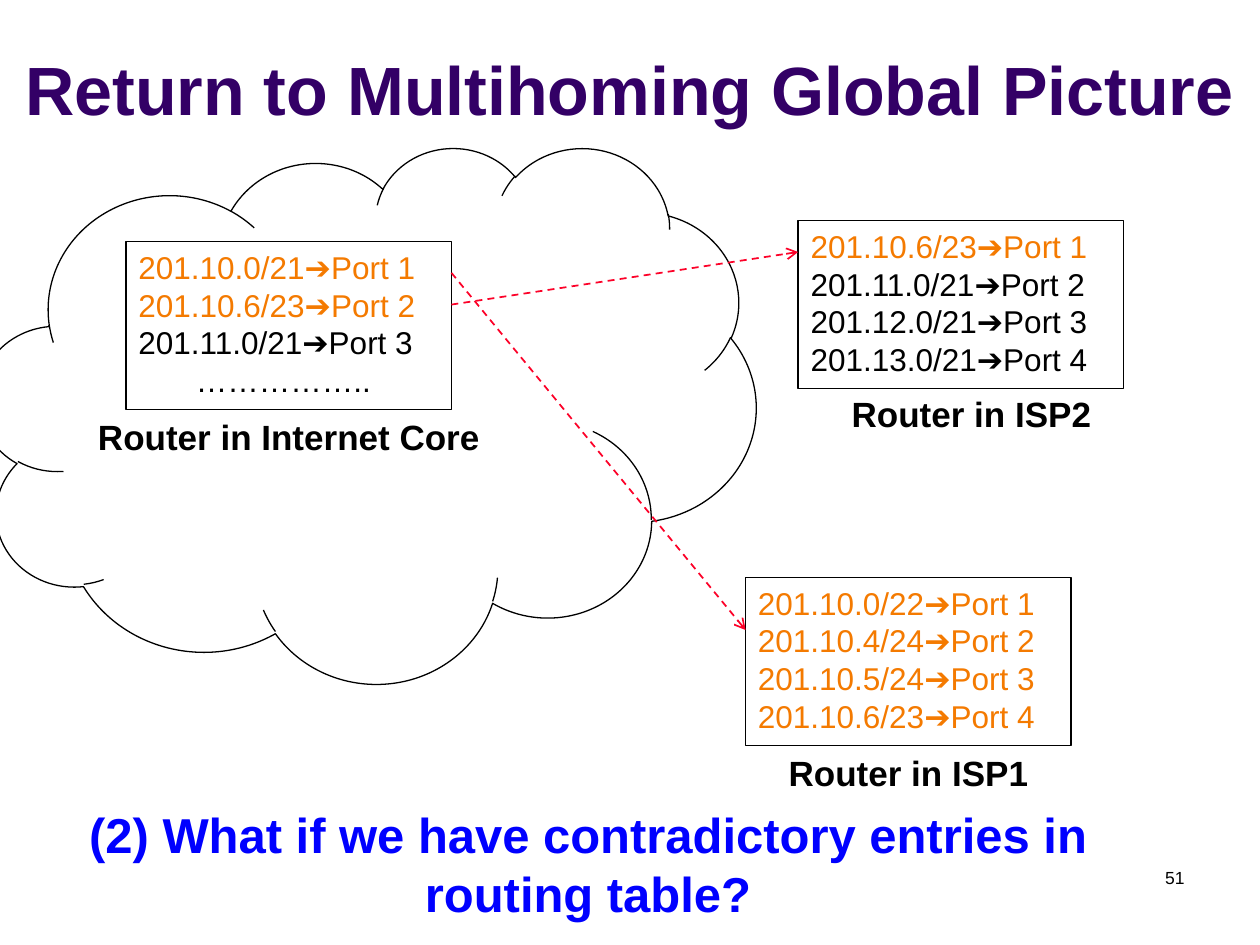
from lxml import etree
from pptx import Presentation
from pptx.dml.color import RGBColor
from pptx.enum.dml import MSO_LINE
from pptx.enum.shapes import MSO_CONNECTOR, MSO_SHAPE
from pptx.enum.text import MSO_ANCHOR, MSO_AUTO_SIZE, PP_ALIGN
from pptx.oxml.ns import qn
from pptx.util import Cm, Pt

BLACK = RGBColor(0, 0, 0)
PURPLE = RGBColor(0x33, 0x00, 0x66)
ORANGE = RGBColor(0xF4, 0x7A, 0x00)
RED = RGBColor(0xFC, 0x01, 0x28)
BLUE = RGBColor(0, 0, 0xFF)

TABLE = (6.56, 3.39)
LABEL = (8.69, 1.12)


class Deck:
    """Holds the text style and the slide being drawn."""

    base = {"name": "Arial", "size": Pt(18), "bold": False}

    def __init__(self):
        self.prs = Presentation()
        self.prs.slide_width, self.prs.slide_height = Cm(25.4), Cm(19.05)
        self.slide = self.prs.slides.add_slide(self.prs.slide_layouts[5])
        self.shapes = self.slide.shapes

    def put(self, frame, lines, **style):
        """Fill a frame with (text, colour, alignment) lines."""
        frame.word_wrap = True
        for i, (text, color, align) in enumerate(lines):
            para = frame.paragraphs[0] if i == 0 else frame.add_paragraph()
            para.alignment = align
            run = para.add_run()
            run.text = text
            for key, val in {**self.base, **style}.items():
                setattr(run.font, key, val)
            run.font.color.rgb = color

    def title(self, text, box):
        shape = self.shapes.title
        for key, val in zip(("left", "top", "width", "height"), box):
            setattr(shape, key, Cm(val))
        shape.text_frame.auto_size = MSO_AUTO_SIZE.NONE
        shape.text_frame.vertical_anchor = MSO_ANCHOR.BOTTOM
        self.put(shape.text_frame, [(text, PURPLE, PP_ALIGN.CENTER)],
                 size=Pt(39), bold=True)

    def text(self, lines, box, home=None, **style):
        shape = (home or self.shapes).add_textbox(*map(Cm, box))
        self.put(shape.text_frame, lines, **style)

    def label(self, text, box, size=20, color=BLACK):
        self.text([(text, color, PP_ALIGN.CENTER)], box,
                  size=Pt(size), bold=True)

    def shape(self, kind, box, home=None):
        shape = (home or self.shapes).add_shape(kind, *map(Cm, box))
        shape.shadow.inherit = False
        shape.fill.background()
        shape.line.color.rgb = BLACK
        shape.line.width = Pt(0.75)

    def router(self, name, spot, rows, tag):
        """Draw a routing table at spot and its name at tag."""
        home = self.shapes.add_group_shape().shapes
        wide, high = TABLE
        self.shape(MSO_SHAPE.RECTANGLE, (*spot, wide, high), home)
        self.text(rows, (*spot, wide - 0.21, high), home)
        self.label(name, (*tag, *LABEL))

    def arrow(self, start, end):
        link = self.shapes.add_connector(
            MSO_CONNECTOR.STRAIGHT, *map(Cm, (*start, *end)))
        link.line.color.rgb = RED
        link.line.width = Pt(1)
        link.line.dash_style = MSO_LINE.DASH
        props = link.element.spPr
        etree.SubElement(props.find(qn("a:ln")), qn("a:tailEnd"),
                         type="arrow")
        etree.SubElement(props, qn("a:effectLst"))


def routes(nets, hot):
    """Number the ports of nets, with those in hot in orange."""
    return [(f"201.{net}➔Port {i}", ORANGE if net in hot else BLACK,
             PP_ALIGN.LEFT) for i, net in enumerate(nets, 1)]


def main():
    deck = Deck()
    deck.title("Return to Multihoming Global Picture", (0, 0.33, 25.4, 2.41))
    deck.text([("51", BLACK, PP_ALIGN.RIGHT)], (18.21, 17.35, 5.92, 1.27),
              size=Pt(10))
    deck.shape(MSO_SHAPE.CLOUD, (-0.42, 2.96, 15.66, 10.8))

    core = routes(["10.0/21", "10.6/23", "11.0/21"], ["10.0/21", "10.6/23"])
    core.append(("……………..", BLACK, PP_ALIGN.CENTER))
    deck.router("Router in Internet Core", (2.54, 4.87), core, (1.48, 8.26))

    nets = ["10.0/22", "10.4/24", "10.5/24", "10.6/23"]
    deck.router("Router in ISP1", (15.03, 11.64), routes(nets, nets),
                (13.97, 15.03))

    nets = ["10.6/23", "11.0/21", "12.0/21", "13.0/21"]
    deck.router("Router in ISP2", (16.09, 4.45), routes(nets, nets[:1]),
                (15.24, 7.78))

    deck.arrow((9.1, 6.14), (16.09, 5.08))
    deck.arrow((9.1, 5.5), (15.03, 12.7))
    deck.label("(2) What if we have contradictory entries in routing table?",
               (0.85, 16.09, 22.01, 2.65), 28, BLUE)
    deck.prs.save("out.pptx")


if __name__ == "__main__":
    main()
